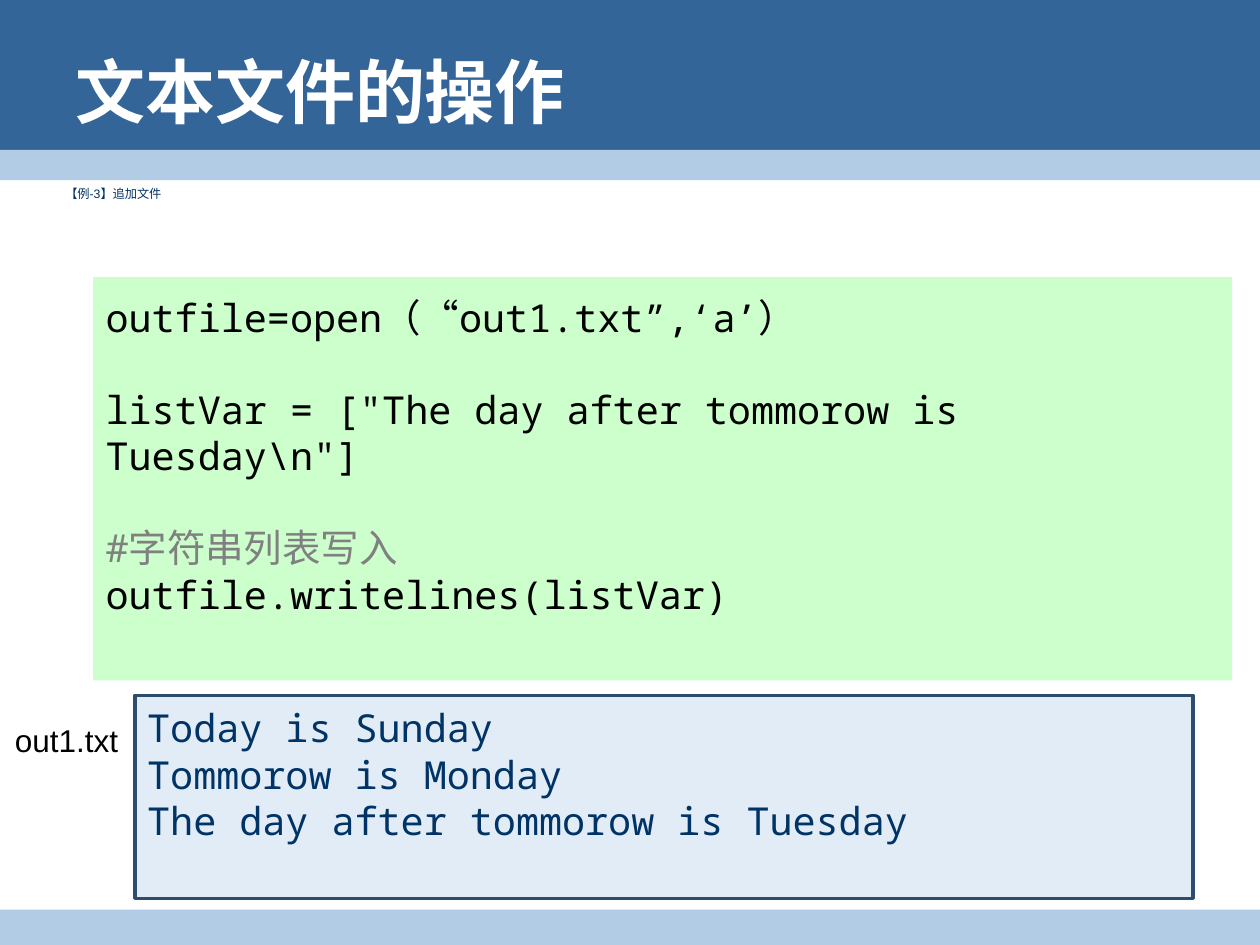
import pptx
import pptx.dml.color
import pptx.enum.shapes
import pptx.enum.text
import pptx.util
from dataclasses import dataclass


@dataclass(frozen=True)
class Theme:
    header: str = "336599"
    band: str = "B3CCE6"
    code_fill: str = "CCFFCC"
    output_fill: str = "E2ECF6"
    output_line: str = "2E4C6B"
    navy: str = "003366"
    black: str = "000000"
    gray: str = "808080"
    white: str = "FFFFFF"
    sans: str = "Arial"
    mono: str = "Noto Sans Mono"
    title_size: float = 40
    code_size: float = 22
    label_size: float = 18
    note_size: float = 7
    blank_line: float = 26.4


THEME = Theme()
ANCHOR = pptx.enum.text.MSO_ANCHOR


def color(value):
    return pptx.dml.color.RGBColor.from_string(value)


def write(paragraph, text, size, fill, font=THEME.sans, bold=False, before=0):
    paragraph.alignment = pptx.enum.text.PP_ALIGN.LEFT
    paragraph.space_before = pptx.util.Pt(before)
    run = paragraph.add_run()
    run.text = text
    run.font.name = font
    run.font.size = pptx.util.Pt(size)
    run.font.bold = bold
    run.font.color.rgb = color(fill)


class SlideBuilder:
    columns, rows = 100, 75

    def __init__(self, presentation, theme):
        self.theme = theme
        self.cell_width = presentation.slide_width / self.columns
        self.cell_height = presentation.slide_height / self.rows
        self.slide = presentation.slides.add_slide(presentation.slide_layouts[6])

    def place(self, column, row, width, height):
        return (round(column * self.cell_width), round(row * self.cell_height),
                round(width * self.cell_width), round(height * self.cell_height))

    def box(self, area, fill, line=None):
        shape = self.slide.shapes.add_shape(
            pptx.enum.shapes.MSO_SHAPE.RECTANGLE, *self.place(*area))
        shape.shadow.inherit = False
        shape.fill.solid()
        shape.fill.fore_color.rgb = color(fill)
        if line:
            shape.line.color.rgb = color(line)
            shape.line.width = pptx.util.Pt(2)
        else:
            shape.line.fill.background()
        return shape

    def text(self, area, text, anchor=ANCHOR.TOP, **style):
        frame = self.slide.shapes.add_textbox(*self.place(*area)).text_frame
        frame.word_wrap = True
        frame.vertical_anchor = anchor
        write(frame.paragraphs[0], text, **style)

    def listing(self, area, lines, fill, top, line=None):
        frame = self.box(area, fill, line).text_frame
        frame.word_wrap = True
        frame.vertical_anchor = ANCHOR.TOP
        frame.margin_top = round(top * self.cell_height)
        for index, (text, ink, before) in enumerate(lines):
            paragraph = frame.add_paragraph() if index else frame.paragraphs[0]
            write(paragraph, text, size=self.theme.code_size, fill=ink,
                  font=self.theme.mono, before=before)


def main():
    presentation = pptx.Presentation()
    presentation.slide_width = pptx.util.Inches(10)
    presentation.slide_height = pptx.util.Inches(7.5)
    theme = THEME
    builder = SlideBuilder(presentation, theme)

    builder.box((0, 0, 100, 13.1), theme.header)
    builder.box((0, 11.9, 100, 2.4), theme.band)
    builder.box((0, 72.2, 100, 2.8), theme.band)

    builder.text((4.2, 14.3, 94.8, 58.3), "【例-3】追加文件",
                 size=theme.note_size, fill=theme.navy)

    code = [
        ("outfile=open（“out1.txt”,‘a’）", theme.black, 0),
        ('listVar = ["The day after tommorow is Tuesday\\n"]',
         theme.black, theme.blank_line),
        ("#字符串列表写入", theme.gray, theme.blank_line),
        ("outfile.writelines(listVar)", theme.black, 0),
    ]
    builder.listing((7.4, 22, 90.4, 32), code, theme.code_fill, top=1.3)

    builder.text((0.2, 56.7, 14.4, 4), "out1.txt",
                 size=theme.label_size, fill=theme.black)

    output = ["Today is Sunday", "Tommorow is Monday",
              "The day after tommorow is Tuesday"]
    builder.listing((10.7, 55.2, 84, 16.1),
                    [(text, theme.navy, 0) for text in output],
                    theme.output_fill, top=0.7, line=theme.output_line)

    builder.text((5, 1.7, 90, 11), "文本文件的操作", anchor=ANCHOR.MIDDLE,
                 size=theme.title_size, fill=theme.white, bold=True)

    presentation.save("out.pptx")


if __name__ == "__main__":
    main()
